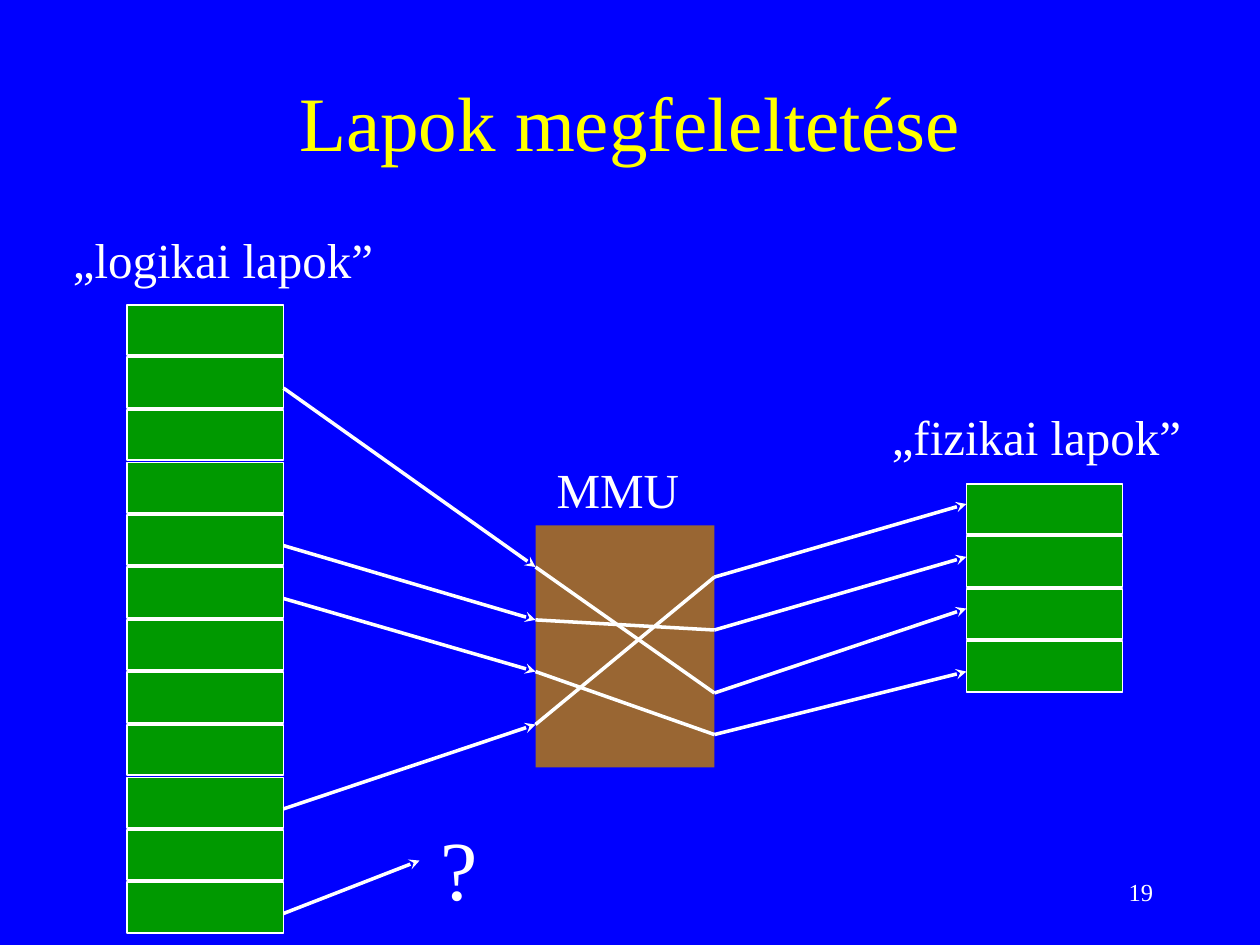
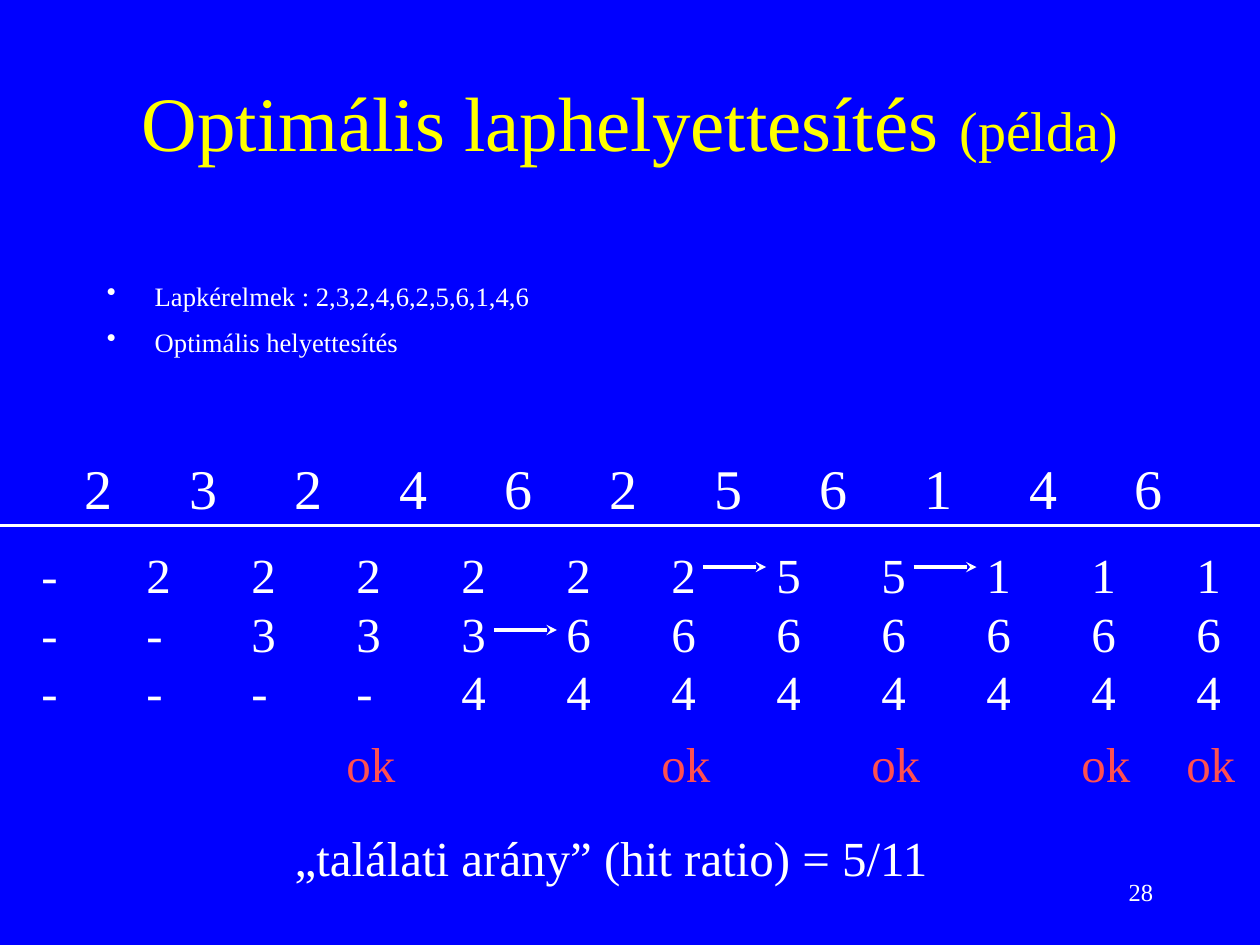
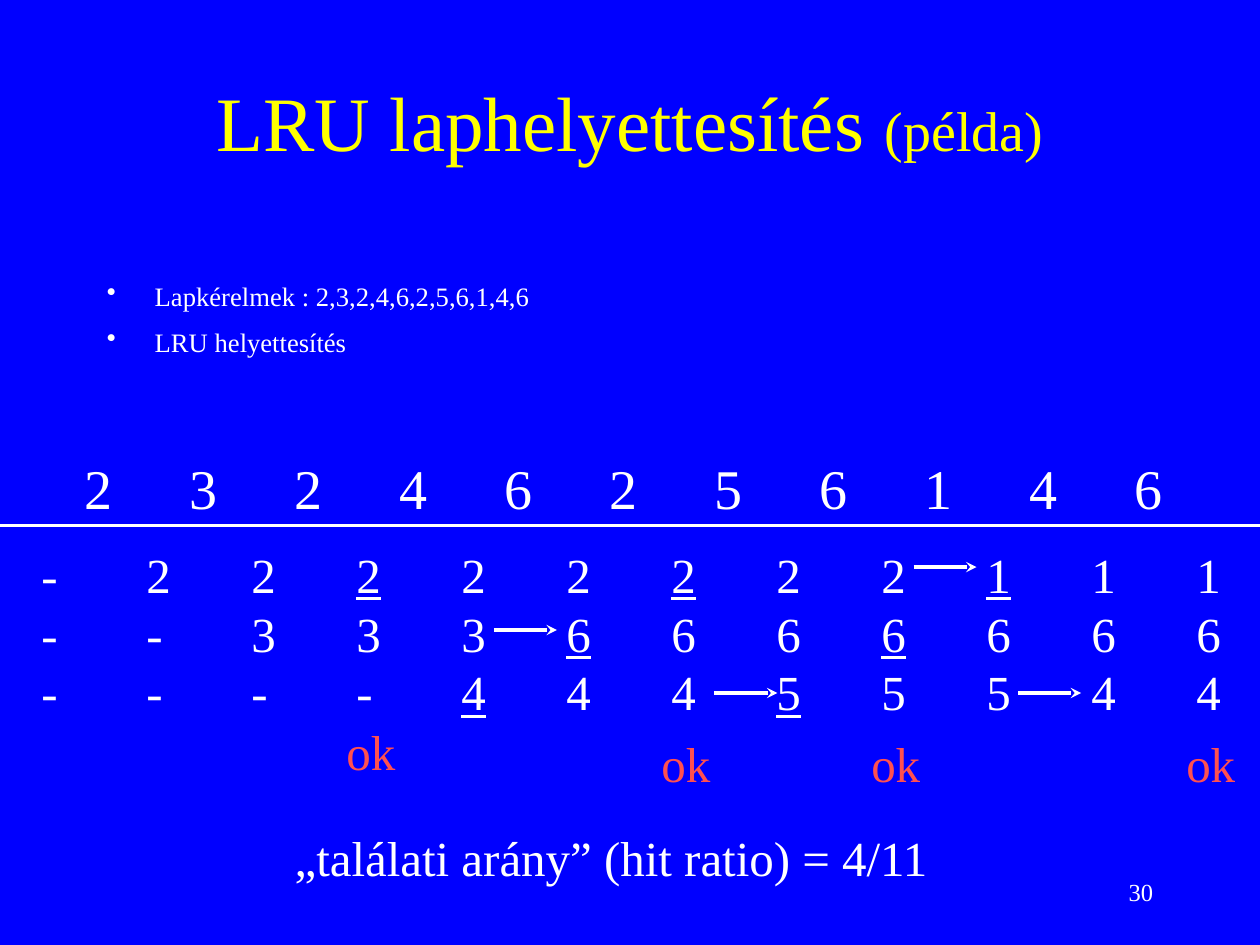
from lxml import etree
from pptx import Presentation
from pptx.dml.color import RGBColor
from pptx.enum.shapes import MSO_CONNECTOR, MSO_SHAPE
from pptx.enum.text import MSO_ANCHOR, MSO_AUTO_SIZE, PP_ALIGN
from pptx.oxml.ns import qn
from pptx.util import Inches, Pt

RECTANGLE = MSO_SHAPE.RECTANGLE
STRAIGHT = MSO_CONNECTOR.STRAIGHT
MIDDLE = MSO_ANCHOR.MIDDLE
NO_FIT = MSO_AUTO_SIZE.NONE
GROW = MSO_AUTO_SIZE.SHAPE_TO_FIT_TEXT
CENTER = PP_ALIGN.CENTER
RIGHT = PP_ALIGN.RIGHT

COLORS = {
    name: RGBColor.from_string(value)
    for name, value in {
        "background": "0000FF",
        "title": "FFFF00",
        "text": "FFFFFF",
        "page": "009900",
        "mmu": "996633",
        "hit": "FF5050",
    }.items()
}
FONT = "Times New Roman"
COLUMN_PITCH = 10 / 12
PAGE_PITCH = 5 / 12


def add_text(slide, box, lines, size=28, color="text", wrap=False):
    shape = slide.shapes.add_textbox(*[Inches(value) for value in box])
    frame = shape.text_frame
    frame.word_wrap = wrap
    frame.auto_size = NO_FIT if wrap else GROW
    for line_index, line in enumerate(lines):
        paragraph = frame.paragraphs[0] if line_index == 0 else frame.add_paragraph()
        if "\t" in line:
            tabs = etree.SubElement(paragraph._p.get_or_add_pPr(), qn("a:tabLst"))
            for column in range(1, line.count("\t") + 1):
                position = str(Inches(column * COLUMN_PITCH))
                etree.SubElement(tabs, qn("a:tab"), pos=position, algn="l")
        for piece_index, piece in enumerate(line.split("_")):
            run = paragraph.add_run()
            run.text = piece
            underline = True if piece_index % 2 else None
            formats = {"name": FONT, "size": Pt(size), "underline": underline}
            for name, value in formats.items():
                setattr(run.font, name, value)
            run.font.color.rgb = COLORS[color]
    return frame


def add_line(slide, start, end, arrow=True):
    connector = slide.shapes.add_connector(
        STRAIGHT, *[Inches(value) for value in (*start, *end)]
    )
    connector.line.color.rgb = COLORS["text"]
    connector.line.width = Pt(2)
    if arrow:
        etree.SubElement(connector.line._get_or_add_ln(), qn("a:tailEnd"), type="stealth")
    etree.SubElement(connector._element.spPr, qn("a:effectLst"))


presentation = Presentation()
presentation.slide_width = Inches(10)
presentation.slide_height = Inches(7.5)
background = presentation.slide_master.background.fill
background.solid()
background.fore_color.rgb = COLORS["background"]

slides = []
for title_runs, number in [
    ([("Lapok megfeleltetése", 44)], "19"),
    ([("Optimális laphelyettesítés ", 44), ("(példa)", 32)], "28"),
    ([("LRU laphelyettesítés ", 44), ("(példa)", 32)], "30"),
]:
    slide = presentation.slides.add_slide(presentation.slide_layouts[5])
    title = slide.shapes.title
    title_box = {"left": 0.75, "top": 0.33, "width": 8.5, "height": 1.25}
    for name, value in title_box.items():
        setattr(title, name, Inches(value))
    title.text_frame.vertical_anchor = MIDDLE
    title.text_frame.auto_size = NO_FIT
    paragraph = title.text_frame.paragraphs[0]
    paragraph.alignment = CENTER
    for text, size in title_runs:
        run = paragraph.add_run()
        run.text = text
        run.font.name = FONT
        run.font.size = Pt(size)
        run.font.color.rgb = COLORS["title"]
    number_frame = add_text(slide, (7.17, 6.83, 2.08, 0.5), [number], 14, wrap=True)
    number_frame.vertical_anchor = MIDDLE
    number_frame.paragraphs[0].alignment = RIGHT
    slides.append(slide)

mapping_slide = slides[0]
page_boxes = [
    (left, top + index * PAGE_PITCH, 1.24, 0.4)
    for left, top, count in [(1.01, 2.42, 12), (7.67, 3.84, 4)]
    for index in range(count)
]
for box, fill in [(box, "page") for box in page_boxes] + [((4.25, 4.17, 1.42, 1.92), "mmu")]:
    shape = mapping_slide.shapes.add_shape(RECTANGLE, *[Inches(value) for value in box])
    shape.shadow.inherit = False
    shape.fill.solid()
    shape.fill.fore_color.rgb = COLORS[fill]
    if fill == "page":
        shape.line.color.rgb = COLORS["text"]
        shape.line.width = Pt(1)
    else:
        shape.line.fill.background()

for logical, entry, mmu_exit, physical in [
    (3.08, 4.5, 5.5, 4.83),
    (4.33, 4.92, 5, 4.42),
    (4.75, 5.33, 5.83, 5.33),
    (6.42, 5.75, 4.58, 4),
]:
    add_line(mapping_slide, (2.25, logical), (4.25, entry))
    add_line(mapping_slide, (4.25, entry), (5.67, mmu_exit), arrow=False)
    add_line(mapping_slide, (5.67, mmu_exit), (7.67, physical))
add_line(mapping_slide, (2.25, 7.25), (3.33, 6.83))

for text, box, size in [
    ("„logikai lapok”", (0.48, 1.77, 2.59, 0.57), 28),
    ("MMU", (4.32, 3.6, 1.17, 0.57), 28),
    ("„fizikai lapok”", (6.98, 3.18, 2.5, 0.57), 28),
    ("?", (3.4, 6.43, 0.5, 0.9), 48),
]:
    add_text(mapping_slide, box, [text], size)

requests = "2,3,2,4,6,2,5,6,1,4,6"
examples = [
    {
        "method": "Optimális helyettesítés",
        "frames": [
            "- 2 2 2 2 2 2 5 5 1 1 1",
            "- - 3 3 3 6 6 6 6 6 6 6",
            "- - - - 4 4 4 4 4 4 4 4",
        ],
        "hits": [(3, 5.77), (6, 5.77), (8, 5.77), (10, 5.77), (11, 5.77)],
        "replacements": [(3.92, 5), (5.58, 4.5), (7.25, 4.5)],
    },
    {
        "method": "LRU helyettesítés",
        "frames": [
            "- 2 2 _2_ 2 2 _2_ 2 2 _1_ 1 1",
            "- - 3 3 3 _6_ 6 6 _6_ 6 6 6",
            "- - - - _4_ 4 4 _5_ 5 5 4 4",
        ],
        "hits": [(3, 5.68), (6, 5.77), (8, 5.77), (11, 5.77)],
        "replacements": [(3.92, 5), (7.25, 4.5), (5.67, 5.5), (8.08, 5.5)],
    },
]
for slide, example in zip(slides[1:], examples):
    bullets = [f"Lapkérelmek : {requests}", example["method"]]
    bullet_frame = add_text(slide, (0.75, 2.17, 8.5, 0.75), bullets, 15.2, wrap=True)
    for index, paragraph in enumerate(bullet_frame.paragraphs):
        properties = paragraph._p.get_or_add_pPr()
        properties.set("marL", str(Inches(0.38)))
        properties.set("indent", str(Inches(-0.38)))
        etree.SubElement(properties, qn("a:buChar"), char="•")
        if index:
            paragraph.space_before = Pt(8)

    add_text(slide, (0.57, 3.55, 8.76, 0.63), [requests.replace(",", "\t")], 32)
    add_line(slide, (0, 4.17), (10, 4.17), arrow=False)
    frame_rows = [row.replace(" ", "\t") for row in example["frames"]]
    add_text(slide, (0.23, 4.27, 9.56, 1.5), frame_rows)
    for column, top in example["hits"]:
        add_text(slide, (0.15 + column * COLUMN_PITCH, top, 0.59, 0.57), ["ok"], color="hit")
    for left, top in example["replacements"]:
        add_line(slide, (left, top), (left + 0.5, top))
    ratio = f"„találati arány” (hit ratio) = {len(example['hits'])}/11"
    add_text(slide, (2.24, 6.52, 5.24, 0.57), [ratio])

presentation.save("out.pptx")
